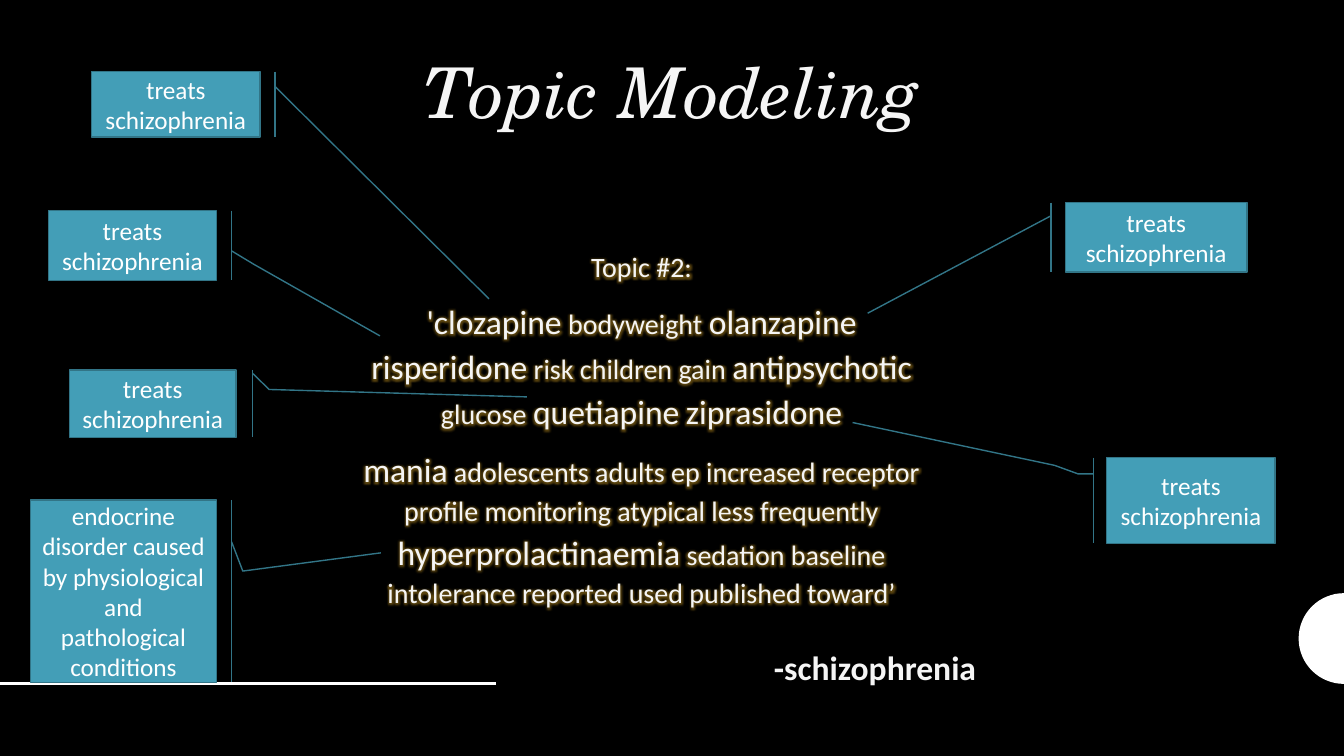
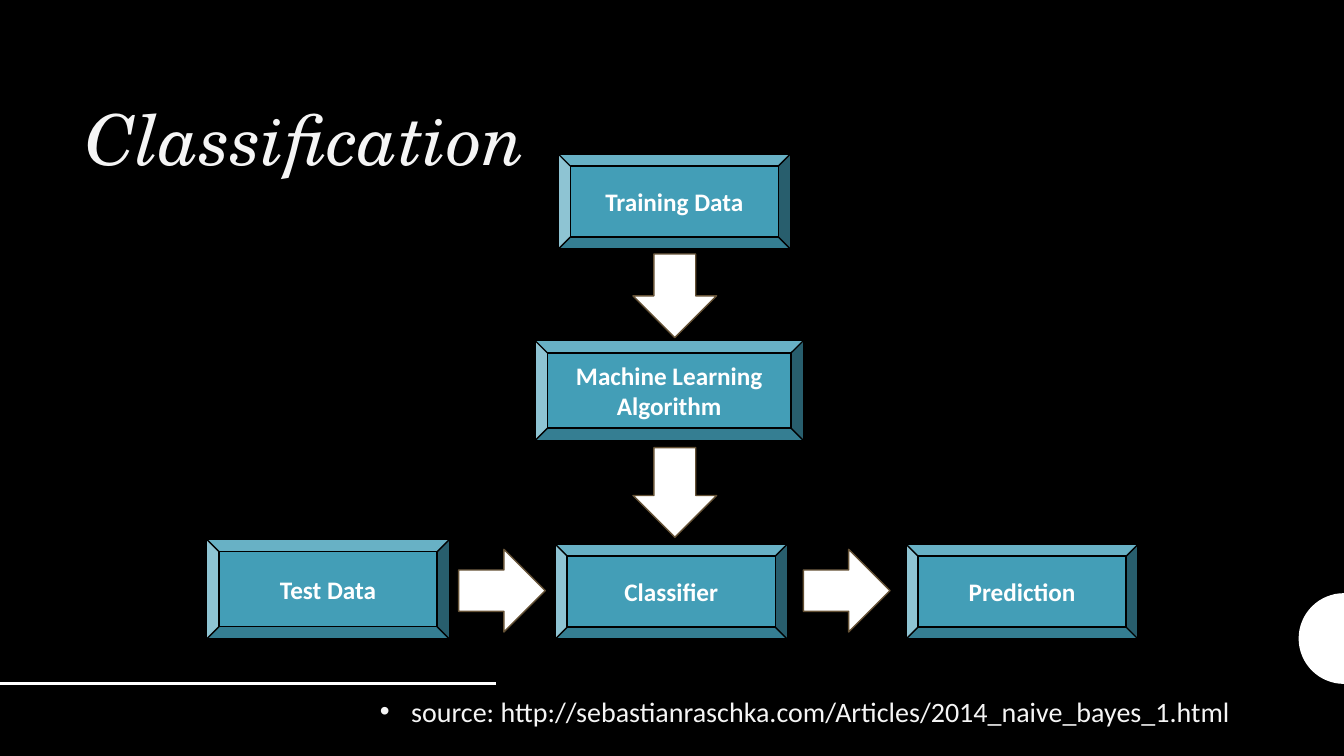
from math import cos, pi, sin

from lxml.etree import SubElement
from pptx import Presentation
from pptx.dml.color import RGBColor
from pptx.enum.shapes import MSO_CONNECTOR, MSO_SHAPE
from pptx.enum.text import MSO_ANCHOR, PP_ALIGN
from pptx.oxml import parse_xml
from pptx.oxml.ns import nsdecls, qn
from pptx.util import Inches, Pt

# Grid: square cells, 133.33 columns by 75 rows
CELL = Inches(0.1)
COLUMNS, ROWS = 133.33, 75

COLORS = {
    "background": "000000",
    "white": "FFFFFF",
    "text": "F5F5F5",
    "teal": "439EB7",
    "teal edge": "327587",
    "arrow edge": "645135",
    "glow": "E3AB24",
}

TITLE_FONT = {"name": "TeX Gyre Schola", "size": Pt(50), "italic": True}
BODY_FONT = {"name": "Calibri", "size": Pt(20)}
BIG_FONT = {"name": "Calibri", "size": Pt(24)}
LABEL_FONT = {"name": "Calibri", "size": Pt(18)}
BODY_SPACING = {"line_spacing": 1.12}
CENTER = {"alignment": PP_ALIGN.CENTER}


def cells(*counts):
    return [round(count * CELL) for count in counts]


def color(name):
    return RGBColor.from_string(COLORS[name])


def apply(target, values):
    for name, value in values.items():
        setattr(target, name, value)


class Slides:
    """Holds the deck's style and the page being drawn."""

    def __init__(self):
        self.deck = Presentation()
        self.deck.slide_width, self.deck.slide_height = cells(COLUMNS, ROWS)
        fill = self.deck.slide_master.background.fill
        fill.solid()
        fill.fore_color.rgb = color("background")
        self.layout = self.deck.slide_layouts[5]
        self.page = None

    def add_page(self, title, place, alignment):
        self.page = self.deck.slides.add_slide(self.layout)
        if len(self.deck.slides) == 1:
            self.decorate_layout()
        box = self.page.shapes.title
        box.left, box.top, box.width, box.height = cells(*place)
        frame = box.text_frame
        apply(frame, {"word_wrap": True, "vertical_anchor": MSO_ANCHOR.TOP})
        self.set_text(frame.paragraphs[0], title, TITLE_FONT, "text",
                      {"alignment": alignment, "line_spacing": 0.9})

    def decorate_layout(self):
        """Rule and half circle, kept on the layout for every page."""
        radius, middle = 4.5, 63.35
        arc = [cells(COLUMNS - radius * sin(pi * step / 32),
                     middle - radius * cos(pi * step / 32)) for step in range(33)]
        builder = self.page.shapes.build_freeform(*arc[0], scale=1.0)
        builder.add_line_segments(arc[1:], close=True)
        half_circle = builder.convert_to_shape()
        self.paint(half_circle, "white")

        rule = self.page.shapes.add_connector(
            MSO_CONNECTOR.STRAIGHT, *cells(0, 67.8, 49.2, 67.8))
        rule.line.color.rgb = color("white")
        rule.line.width = Pt(2)
        SubElement(rule._element.spPr, qn("a:effectLst"))
        for part in (half_circle, rule):
            self.layout.shapes._spTree.append(part._element)

    def paint(self, shape, fill, edge=None):
        shape.shadow.inherit = False
        shape.fill.solid()
        shape.fill.fore_color.rgb = color(fill)
        if edge:
            shape.line.color.rgb = color(edge)
            shape.line.width = Pt(1)
        else:
            shape.line.fill.background()

    def set_text(self, para, text, font, ink, layout, glow=False):
        """Fill a paragraph; words between asterisks are set larger."""
        apply(para, layout)
        for index, words in enumerate(text.split("*")):
            if not words:
                continue
            span = para.add_run()
            span.text = words
            apply(span.font, BIG_FONT if index % 2 else font)
            span.font.color.rgb = color(ink)
            if glow:
                self.add_glow(span)

    def add_glow(self, span):
        effect = parse_xml(
            f'<a:effectLst {nsdecls("a")}><a:glow rad="101600">'
            f'<a:srgbClr val="{COLORS["glow"]}"><a:alpha val="40000"/></a:srgbClr>'
            '</a:glow></a:effectLst>')
        span.font._element.find(qn("a:solidFill")).addnext(effect)

    def add_text(self, place, texts, font, layout, glow=False, bullet=False):
        frame = self.page.shapes.add_textbox(*cells(*place)).text_frame
        frame.word_wrap = True
        for index, text in enumerate(texts):
            para = frame.add_paragraph() if index else frame.paragraphs[0]
            if bullet:
                self.add_bullet(para)
            if index:
                para.space_before = Pt(9)
            self.set_text(para, text, font, "text", layout, glow)

    def add_bullet(self, para):
        properties = para._p.get_or_add_pPr()
        indent = Inches(0.31)
        properties.set("marL", str(indent))
        properties.set("indent", str(-indent))
        ink = SubElement(properties, qn("a:buClr"))
        SubElement(ink, qn("a:srgbClr"), val=COLORS["text"])
        SubElement(properties, qn("a:buFont"), typeface="Arial")
        SubElement(properties, qn("a:buChar"), char="•")

    def add_shape(self, kind, place, fill, edge, text="", bold=False, adjust=()):
        shape = self.page.shapes.add_shape(kind, *cells(*place))
        self.paint(shape, fill, edge)
        for index, value in enumerate(adjust):
            shape.adjustments[index] = value
        if text:
            frame = shape.text_frame
            apply(frame, {"word_wrap": True, "vertical_anchor": MSO_ANCHOR.MIDDLE})
            self.set_text(frame.paragraphs[0], text, {**LABEL_FONT, "bold": bold},
                          "white", CENTER)

    def add_callout(self, place, text, *points):
        """Callout whose leader passes through (down, across) shares of its size."""
        kinds = {
            2: MSO_SHAPE.LINE_CALLOUT_1_BORDER_AND_ACCENT_BAR,
            3: MSO_SHAPE.LINE_CALLOUT_2_BORDER_AND_ACCENT_BAR,
            4: MSO_SHAPE.LINE_CALLOUT_3_BORDER_AND_ACCENT_BAR,
        }
        self.add_shape(kinds[len(points)], place, "teal", "teal edge", text,
                       adjust=[share for point in points for share in point])

    def add_step(self, place, text):
        self.add_shape(MSO_SHAPE.BEVEL, place, "teal", "background", text, bold=True)

    def add_arrow(self, kind, place):
        self.add_shape(kind, place, "white", "arrow edge")


def draw_topics(slides):
    slides.add_page("Topic Modeling", (0, 5.3, COLUMNS, 10.2), PP_ALIGN.CENTER)
    slides.add_text((34.3, 23.9, 58.7, 36.7), [
        "Topic #2:",
        "*'clozapine* bodyweight *olanzapine* *risperidone* risk children gain "
        "*antipsychotic* glucose *quetiapine* *ziprasidone*",
        "*mania* adolescents adults ep increased receptor profile monitoring "
        "atypical less frequently *hyperprolactinaemia* sedation baseline "
        "intolerance reported used published toward’",
    ], BODY_FONT, {**CENTER, **BODY_SPACING}, glow=True)

    # Notes on the words of the topic
    drug = "treats schizophrenia"
    disorder = ("endocrine disorder caused by physiological and "
                "pathological conditions")
    callouts = [
        ((105.7, 20.1, 18, 6.9), drug, (0.19, -0.08), (1.59, -1.09)),
        ((109.8, 45.4, 16.7, 8.5), drug,
         (0.19, -0.08), (0.19, -0.17), (0.09, -0.31), (-0.41, -1.51)),
        ((9.1, 7.1, 16.7, 6.5), drug, (0.23, 1.09), (3.47, 2.36)),
        ((4.8, 20.9, 16.7, 6.9), drug, (0.58, 1.09), (0.77, 1.22), (1.8, 1.97)),
        ((6.9, 36.7, 16.5, 6.7), drug, (0.05, 1.1), (0.29, 1.2), (0.4, 2.75)),
        ((3, 49.6, 18.5, 18.1), disorder, (0.23, 1.08), (0.39, 1.14), (0.29, 1.88)),
    ]
    for callout in callouts:
        slides.add_callout(*callout)

    slides.add_text((75.8, 63.7, 30, 5), ["-schizophrenia"],
                    {**BIG_FONT, "bold": True}, {})


def draw_classification(slides):
    slides.add_page("Classification", (3.7, 9.9, 49.4, 14.8), PP_ALIGN.RIGHT)
    slides.add_text((36.7, 68, 92.8, 5),
                    ["source: http://sebastianraschka.com/Articles/2014_naive_bayes_1.html"],
                    BODY_FONT, BODY_SPACING, bullet=True)

    # Steps of the flow
    for place, text in [
        ((55.4, 15.3, 23, 9.4), "Training Data"),
        ((53.1, 33.8, 26.6, 9.9), "Machine Learning Algorithm"),
        ((20.5, 53.5, 24.1, 9.9), "Test Data"),
        ((55.1, 54, 23, 9.4), "Classifier"),
        ((89.9, 54, 23, 9.4), "Prediction"),
    ]:
        slides.add_step(place, text)

    # Arrows down the middle, then along the bottom row
    for top, height in ((25.2, 8.3), (44.4, 8.9)):
        slides.add_arrow(MSO_SHAPE.DOWN_ARROW, (62.8, top, 8.3, height))
    for left in (45.5, 79.7):
        slides.add_arrow(MSO_SHAPE.RIGHT_ARROW, (left, 54.5, 8.6, 8.2))


def main():
    slides = Slides()
    draw_topics(slides)
    draw_classification(slides)
    slides.deck.save("out.pptx")


if __name__ == "__main__":
    main()
